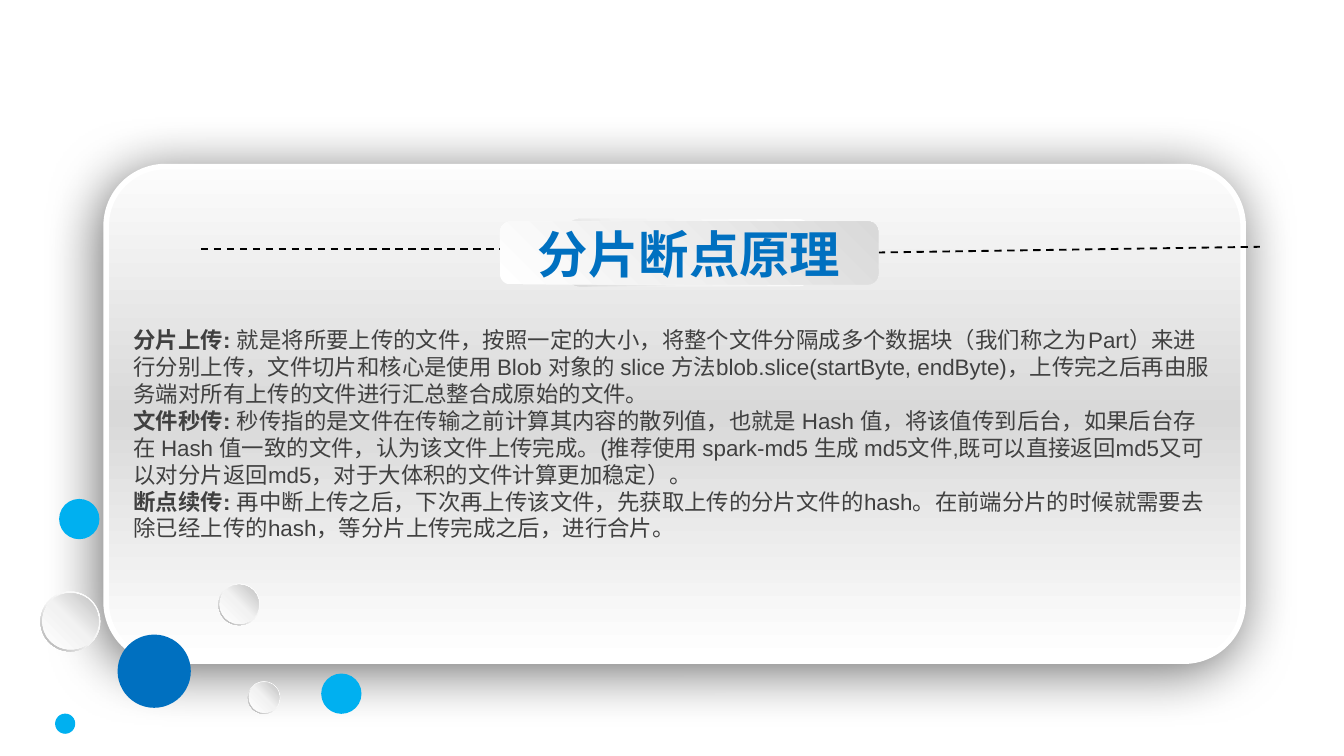
from pptx import Presentation
from pptx import util as u
from pptx.dml.color import RGBColor
from pptx.enum import dml, shapes, text
from pptx.oxml import parse_xml
from pptx.oxml.ns import nsdecls, qn

BLUE = RGBColor(0x00, 0x70, 0xC0)
SKY = RGBColor(0x00, 0xB0, 0xF0)
DARK = RGBColor(0x40, 0x40, 0x40)
BLACK = RGBColor(0x00, 0x00, 0x00)
WHITE = RGBColor(0xFF, 0xFF, 0xFF)
PEARL = RGBColor(0xFC, 0xFC, 0xFC)
PALE = RGBColor(0xF2, 0xF2, 0xF2)
MIST = RGBColor(0xF0, 0xF0, 0xF0)
SILVER = RGBColor(0xD9, 0xD9, 0xD9)
GREY = RGBColor(0xBF, 0xBF, 0xBF)
STEEL = RGBColor(0xA6, 0xA6, 0xA6)

WIDTH = u.Inches(10)
HEIGHT = WIDTH * 9 // 16
COLUMN, ROW = WIDTH / 100, HEIGHT / 100
FONT = "Arial"

TITLE = "分片断点原理"
TOPICS = [
    ("分片上传: ", "就是将所要上传的文件，按照一定的大小，将整个文件分隔成多个数据块（我们称之为Part）来进行分别上传，"
     "文件切片和核心是使用 Blob 对象的 slice 方法blob.slice(startByte, endByte)，"
     "上传完之后再由服务端对所有上传的文件进行汇总整合成原始的文件。"),
    ("文件秒传: ", "秒传指的是文件在传输之前计算其内容的散列值，也就是 Hash 值，将该值传到后台，"
     "如果后台存在 Hash 值一致的文件，认为该文件上传完成。(推荐使用 spark-md5 生成 md5文件,"
     "既可以直接返回md5又可以对分片返回md5，对于大体积的文件计算更加稳定）。"),
    ("断点续传: ", "再中断上传之后，下次再上传该文件，先获取上传的分片文件的hash。"
     "在前端分片的时候就需要去除已经上传的hash，等分片上传完成之后，进行合片。"),
]

SOLID_DOTS = [(8.75, 83.95, 5.45, BLUE), (4.4, 66, 3, SKY),
              (23.9, 89.1, 3, SKY), (4.1, 94.4, 1.5, SKY)]
PEARL_DOTS = [(18.45, 90.15, 2.4), (16.25, 77.2, 3.1), (3.02, 78.25, 4.45)]


def grid_box(column, row, columns, rows):
    return tuple(round(length) for length in
                 (column * COLUMN, row * ROW, columns * COLUMN, rows * ROW))


def part_of(box, x, y, width, height):
    left, top, full_width, full_height = box
    return tuple(round(length) for length in (
        left + x * full_width, top + y * full_height,
        width * full_width, height * full_height))


def add_plain(slide, kind, box):
    shape = slide.shapes.add_shape(kind, *box)
    shape.shadow.inherit = False
    shape.line.fill.background()
    return shape


def fill_gradient(shape, stops, angle):
    shape.fill.background()
    colours = "".join(
        f'<a:gs pos="{share * 1000}"><a:srgbClr val="{colour}"/></a:gs>'
        for share, colour in stops)
    gradient = parse_xml(
        f'<a:gradFill {nsdecls("a")} rotWithShape="1"><a:gsLst>{colours}</a:gsLst>'
        f'<a:lin ang="{angle * 60000}" scaled="0"/></a:gradFill>')
    properties = shape.element.spPr
    properties.replace(properties.find(qn("a:noFill")), gradient)


def add_shadow(shape, blur, distance, angle, opacity):
    shape.element.spPr.find(qn("a:effectLst")).append(parse_xml(
        f'<a:outerShdw {nsdecls("a")} blurRad="{u.Pt(blur)}" dist="{u.Pt(distance)}" '
        f'dir="{angle * 60000}" algn="ctr" rotWithShape="0"><a:srgbClr val="{BLACK}">'
        f'<a:alpha val="{opacity * 1000}"/></a:srgbClr></a:outerShdw>'))


def add_panel(slide, box):
    panel = add_plain(slide, shapes.MSO_SHAPE.ROUNDED_RECTANGLE, box)
    panel.adjustments[0] = 0.12
    fill_gradient(panel, [(0, PEARL), (50, SILVER), (100, WHITE)], 90)
    panel.line.color.rgb = WHITE
    panel.line.width = u.Pt(3)
    add_shadow(panel, 31, 5, 120, 57)

    frame = panel.text_frame
    frame.word_wrap = True
    frame.vertical_anchor = text.MSO_ANCHOR.MIDDLE
    frame.margin_left = frame.margin_right = round(0.75 * COLUMN)
    frame.margin_top, frame.margin_bottom = round(6 * ROW), round(0.7 * ROW)
    for index, (heading, body) in enumerate(TOPICS):
        paragraph = frame.add_paragraph() if index else frame.paragraphs[0]
        paragraph.alignment = text.PP_ALIGN.LEFT
        paragraph.font.name = FONT
        paragraph.font.size = u.Pt(12)
        paragraph.font.color.rgb = DARK
        for words, bold in ((heading, True), (body, False)):
            run = paragraph.add_run()
            run.text = words
            run.font.bold = bold


def add_dashed_line(slide, start, end):
    points = [round(value * unit) for point in (start, end)
              for value, unit in zip(point, (COLUMN, ROW))]
    connector = slide.shapes.add_connector(shapes.MSO_CONNECTOR.STRAIGHT, *points)
    connector.line.color.rgb = BLACK
    connector.line.width = u.Pt(1)
    connector.line.dash_style = dml.MSO_LINE.DASH
    connector.element.spPr.append(parse_xml(f'<a:effectLst {nsdecls("a")}/>'))


def add_title(slide, box):
    rounded = shapes.MSO_SHAPE.ROUNDED_RECTANGLE
    backing = add_plain(slide, rounded, part_of(box, 0.18, -0.04, 0.64, 1.07))
    fill_gradient(backing, [(0, WHITE), (62, PALE), (100, SILVER)], 135)
    plate = add_plain(slide, rounded, box)
    fill_gradient(plate, [(0, WHITE), (42, MIST), (100, SILVER)], 315)
    frame = plate.text_frame
    frame.vertical_anchor = text.MSO_ANCHOR.MIDDLE
    paragraph = frame.paragraphs[0]
    paragraph.text = TITLE
    paragraph.alignment = text.PP_ALIGN.CENTER
    paragraph.font.name = FONT
    paragraph.font.size = u.Pt(27)
    paragraph.font.bold = True
    paragraph.font.color.rgb = BLUE


def add_solid_dot(slide, box, colour):
    dot = add_plain(slide, shapes.MSO_SHAPE.OVAL, box)
    dot.fill.solid()
    dot.fill.fore_color.rgb = colour


def add_pearl_dot(slide, box):
    rim = add_plain(slide, shapes.MSO_SHAPE.DONUT, box)
    rim.adjustments[0] = 0.05
    fill_gradient(rim, [(0, WHITE), (55, PALE), (100, STEEL)], 135)
    core = add_plain(slide, shapes.MSO_SHAPE.OVAL, part_of(box, 0.03, 0.03, 0.94, 0.94))
    fill_gradient(core, [(0, WHITE), (51, PALE), (100, GREY)], 315)


def dot_box(column, row, diameter):
    return grid_box(column, row, diameter, diameter * COLUMN / ROW)


def main():
    presentation = Presentation()
    presentation.slide_width, presentation.slide_height = WIDTH, HEIGHT
    slide = presentation.slides.add_slide(presentation.slide_layouts[6])
    add_panel(slide, grid_box(7.9, 22.04, 84.6, 65.42))
    add_dashed_line(slide, (14.95, 32.93), (45.2, 32.93))
    add_dashed_line(slide, (65.3, 33.4), (93.75, 32.65))
    add_title(slide, grid_box(37.2, 29.3, 28.15, 8.32))
    for *place, colour in SOLID_DOTS:
        add_solid_dot(slide, dot_box(*place), colour)
    for place in PEARL_DOTS:
        add_pearl_dot(slide, dot_box(*place))
    presentation.save("out.pptx")


if __name__ == "__main__":
    main()
